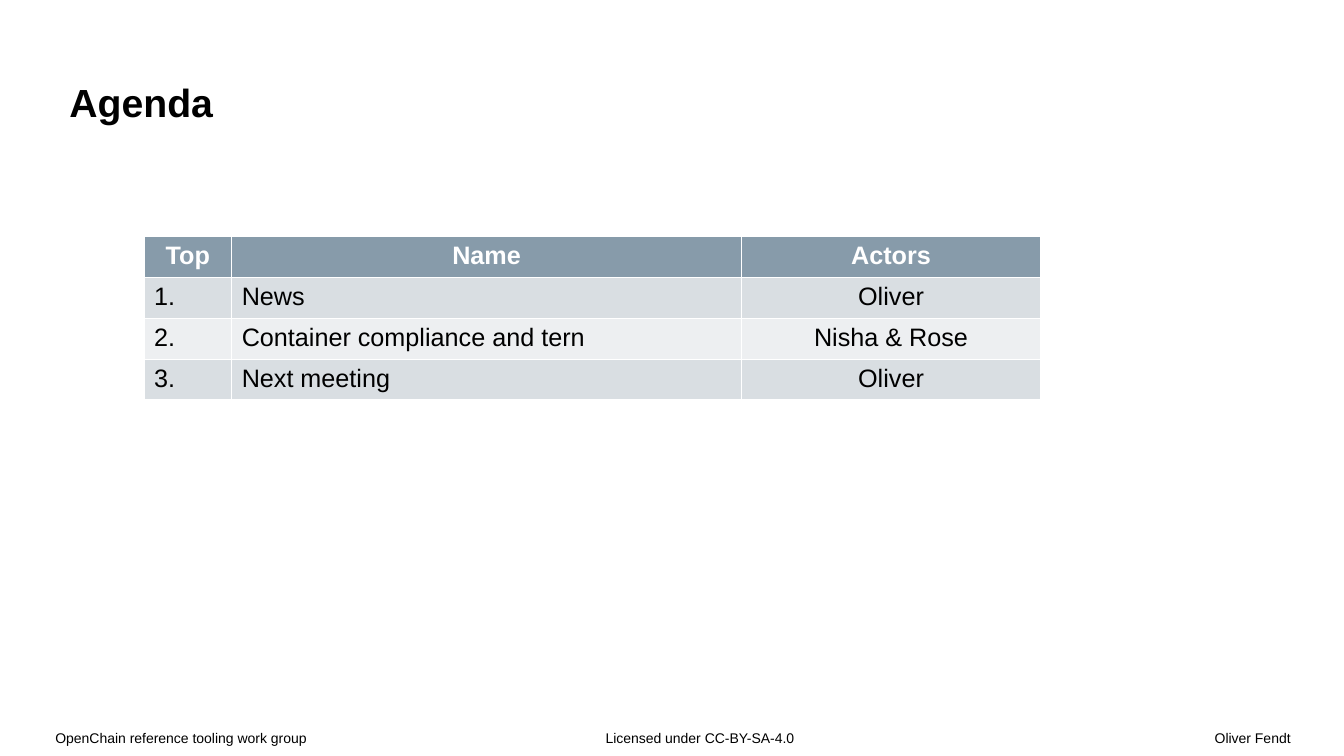
from pptx import Presentation
from pptx.dml.color import RGBColor
from pptx.enum.text import MSO_ANCHOR, PP_ALIGN
from pptx.util import Pt

PX = 9144  # 100 px to the inch
BLACK = RGBColor(0x00, 0x00, 0x00)
WHITE = RGBColor(0xFF, 0xFF, 0xFF)
SLATE = RGBColor(0x87, 0x9B, 0xAA)
DARK = RGBColor(0xD9, 0xDE, 0xE2)
LIGHT = RGBColor(0xED, 0xEF, 0xF1)


def write(frame, text, size=10, color=BLACK, bold=False,
          align=PP_ALIGN.LEFT, spacing=1.0):
    para = frame.paragraphs[0]
    para.text = text
    para.alignment = align
    para.line_spacing = spacing
    font = para.font
    font.name, font.size, font.bold = "Arial", Pt(size), bold
    font.color.rgb = color


def add_box(left, top, width, height, pads):
    box = slide.shapes.add_textbox(left * PX, top * PX, width * PX, height * PX)
    frame = box.text_frame
    frame.word_wrap = True
    (frame.margin_left, frame.margin_top,
     frame.margin_right, frame.margin_bottom) = [pad * PX for pad in pads]
    return frame


deck = Presentation()
deck.slide_width, deck.slide_height = 1334 * PX, 750 * PX
slide = deck.slides.add_slide(deck.slide_layouts[6])

# Footer
footer = [
    (31, 340, (24, 0, 0, 13), PP_ALIGN.LEFT, "OpenChain reference tooling work group"),
    (532, 301, (69, 0, 0, 13), PP_ALIGN.LEFT, "Licensed under CC-BY-SA-4.0"),
    (414, 920, (0, 0, 53, 13), PP_ALIGN.RIGHT, "Oliver Fendt"),
]
for left, width, pads, align, text in footer:
    write(add_box(left, 722, width, 28, pads), text, align=align, spacing=1.1)

# Title
title = add_box(0, 0, 1334, 139, (69, 43, 232, 26))
title.vertical_anchor = MSO_ANCHOR.BOTTOM
write(title, "Agenda", size=28, bold=True)

# Agenda table; the default style draws the white borders
rows = [
    ("Top", "Name", "Actors"),
    ("1.", "News", "Oliver"),
    ("2.", "Container compliance and tern", "Nisha & Rose"),
    ("3.", "Next meeting", "Oliver"),
]
widths = [87, 506, 297]
table = slide.shapes.add_table(len(rows), len(widths), 143 * PX, 235 * PX,
                               sum(widths) * PX, 162 * PX).table
for col, width in zip(table.columns, widths):
    col.width = width * PX

for r, row in enumerate(rows):
    head = r == 0
    fill = SLATE if head else DARK if r % 2 else LIGHT
    for c, text in enumerate(row):
        cell = table.cell(r, c)
        cell.fill.solid()
        cell.fill.fore_color.rgb = fill
        write(cell.text_frame, text, size=18, bold=head,
              color=WHITE if head else BLACK,
              align=PP_ALIGN.CENTER if head or c == 2 else PP_ALIGN.LEFT)

deck.save("out.pptx")
